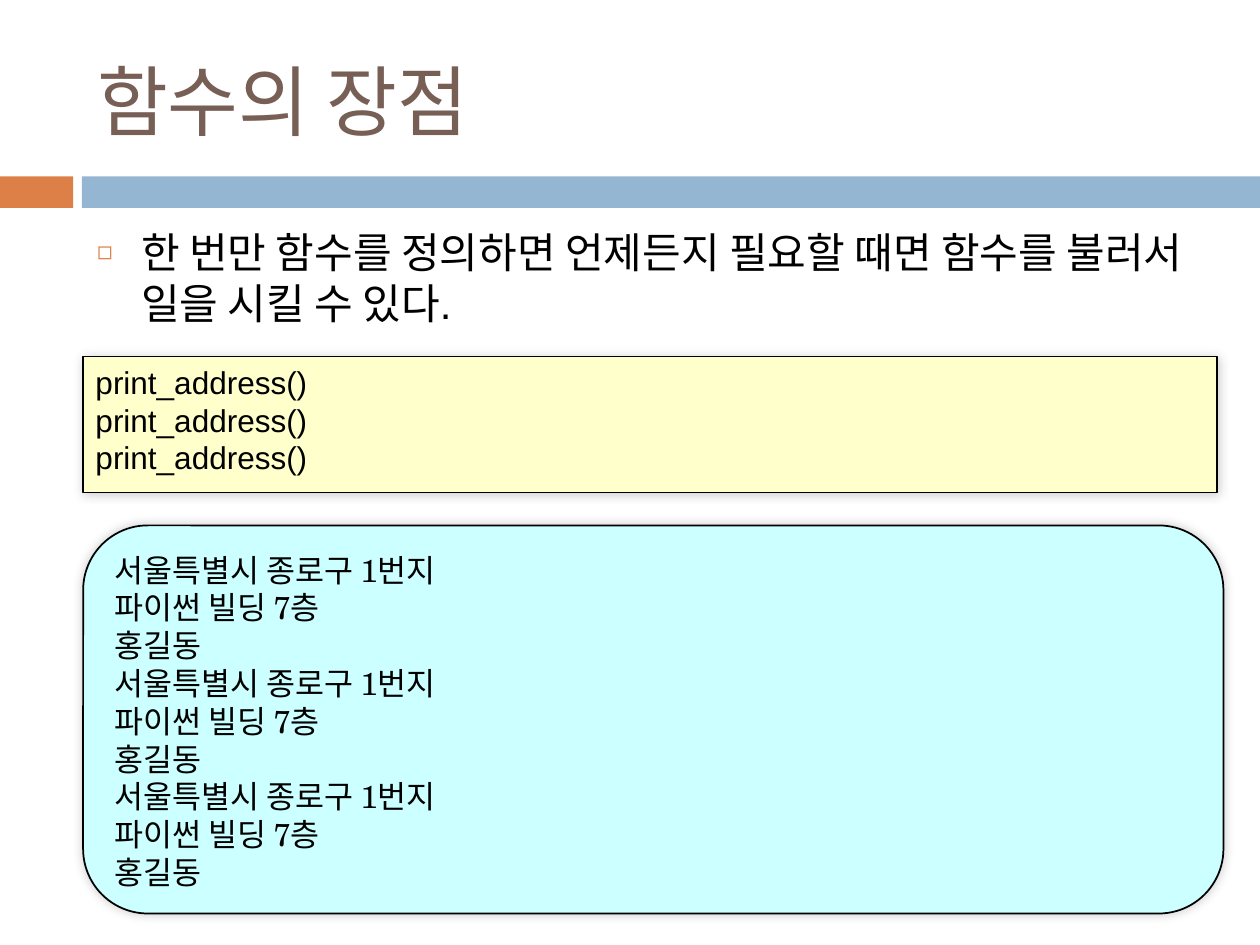
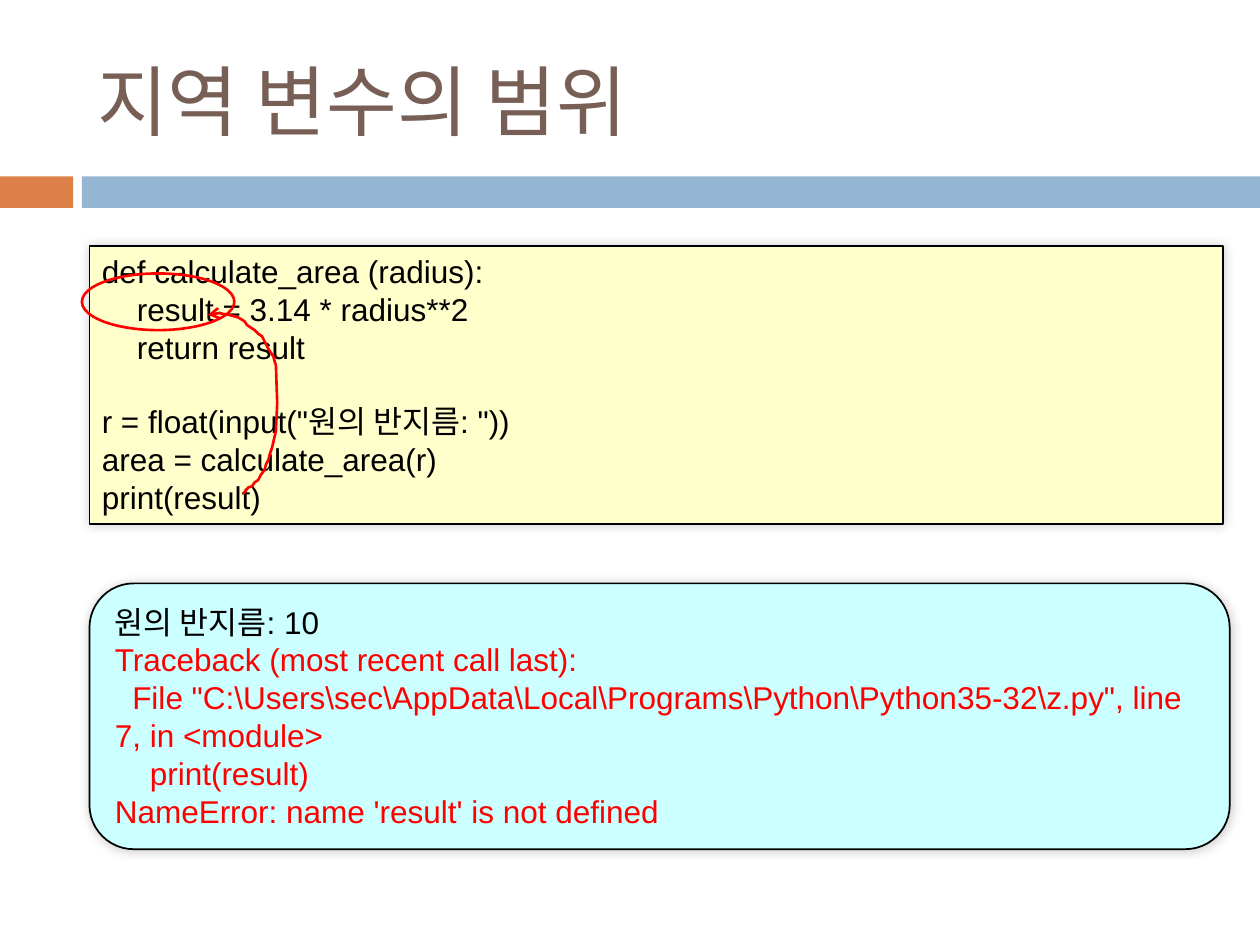
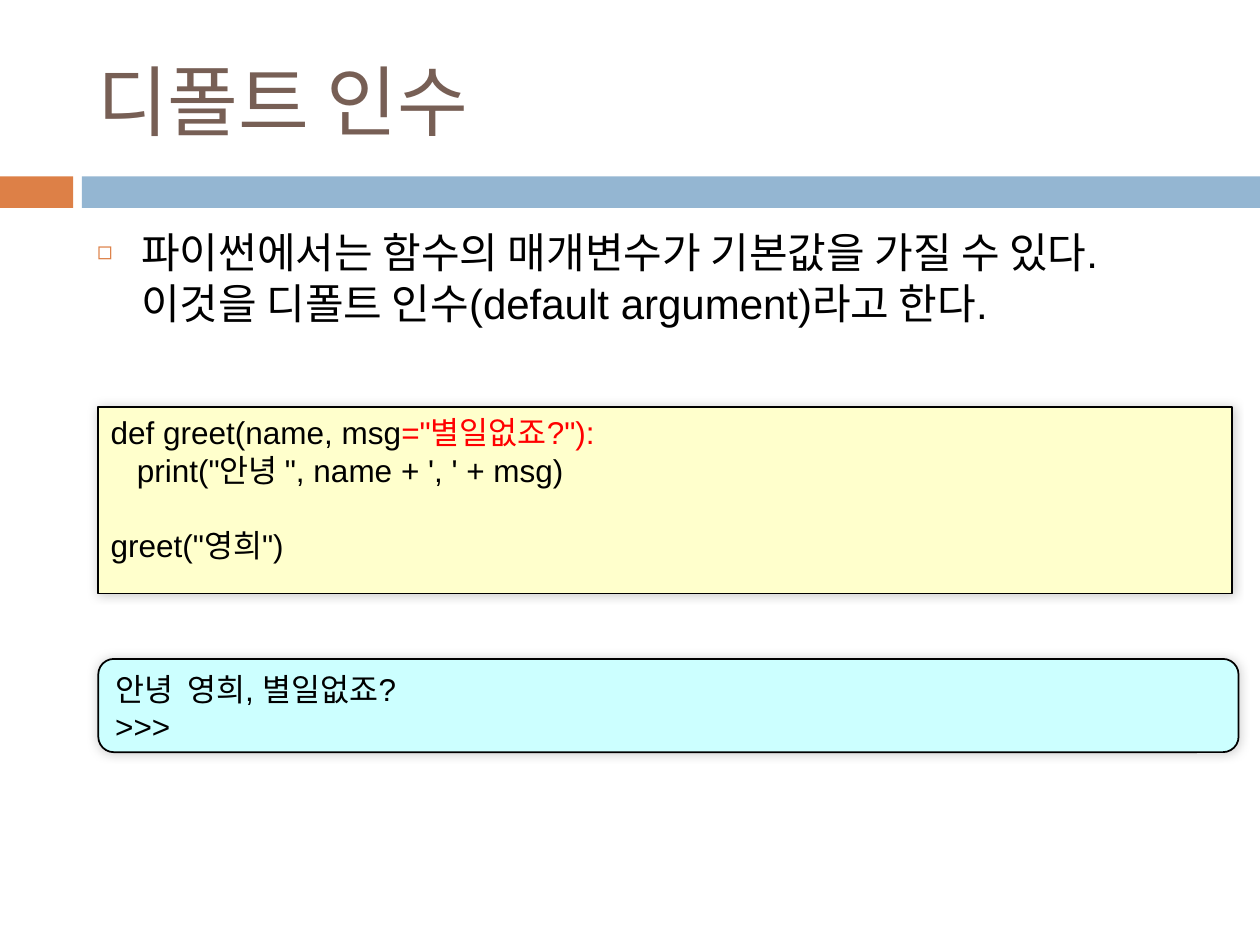
import pptx
import pptx.dml.color
import pptx.enum.dml
import pptx.enum.shapes
import pptx.enum.text
import pptx.oxml
import pptx.oxml.ns
import pptx.util
from lxml import etree

Inches = pptx.util.Inches
Pt = pptx.util.Pt
qn = pptx.oxml.ns.qn
SHAPES = pptx.enum.shapes.MSO_SHAPE

BLACK, RED = "000000", "FF0000"
ORANGE, BLUE, BROWN = "DD8047", "94B6D2", "775F55"
CODE_FILL, OUTPUT_FILL = "FFFFCC", "CCFFFF"

BANDS = [(0, 0.58, ORANGE), (0.65, 9.35, BLUE)]
BAND_TOP, BAND_HEIGHT = 1.4, 0.25
TITLE_BOX = (0.67, 0.25, 8.92, 1.08)
BODY_BOX = (0.67, 1.75, 8.92, 4.92)
CODE_WIDTH, OUTPUT_WIDTH = 9, 9.05
SPACE_WIDTH = Pt(5)
BLANK_LINE = Pt(21)

ADDRESS = ["서울특별시 종로구 1번지", "파이썬 빌딩 7층", "홍길동"]

# A line is a string, or a pair of its black part and its red part.
SLIDES = [
    {
        "title": "함수의 장점",
        "body": "한 번만 함수를 정의하면 언제든지 필요할 때면 함수를 불러서 일을 시킬 수 있다.",
        "left": 0.66,
        "code": (2.83, 1.08, ["print_address()"] * 3),
        "output": (4.17, 3.08, ADDRESS * 3),
        "output_font": "TeX Gyre Schola",
    },
    {
        "title": "지역 변수의 범위",
        "left": 0.71,
        "code": (1.95, 2.21, [
            "def calculate_area (radius):",
            "    result = 3.14 * radius**2",
            "    return result",
            "",
            'r = float(input("원의 반지름: "))',
            "area = calculate_area(r)",
            "print(result)",
        ]),
        "output": (4.63, 2.11, [
            "원의 반지름: 10",
            ("", "Traceback (most recent call last):"),
            ("", '  File "C:\\Users\\sec\\AppData\\Local\\Programs\\Python\\Python35-32\\z.py", '
                 "line 7, in <module>"),
            ("", "    print(result)"),
            ("", "NameError: name 'result' is not defined"),
        ]),
        "circle": (0.65, 2.17, 1.21, 0.45),
        "arrow": [
            (1.93, 3.92), (1.97, 3.87), (2, 3.86), (2.02, 3.83), (2.05, 3.81), (2.07, 3.77),
            (2.1, 3.73), (2.11, 3.69), (2.13, 3.65), (2.14, 3.61), (2.16, 3.55), (2.19, 3.42),
            (2.2, 3.2), (2.19, 2.9), (2.18, 2.87), (2.17, 2.83), (2.13, 2.77), (2.11, 2.73),
            (2.08, 2.67), (2.05, 2.65), (2.02, 2.62), (1.96, 2.58), (1.94, 2.55), (1.89, 2.52),
            (1.82, 2.5), (1.76, 2.49), (1.73, 2.48), (1.65, 2.5),
        ],
    },
    {
        "title": "디폴트 인수",
        "body": "파이썬에서는 함수의 매개변수가 기본값을 가질 수 있다. "
                "이것을 디폴트 인수(default argument)라고 한다.",
        "left": 0.78,
        "code": (3.23, 1.48, [
            ("def greet(name, msg", '="별일없죠?"):'),
            "   print(\"안녕 \", name + ', ' + msg)",
            "",
            'greet("영희")',
        ]),
        "output": (5.23, 0.74, ["안녕  영희, 별일없죠?", ">>>"]),
    },
]


def colour(value):
    return pptx.dml.color.RGBColor.from_string(value)


def set_font(font, name, size, value):
    font.name = name
    font.size = Pt(size)
    font.color.rgb = colour(value)


def place(shape, box):
    shape.left, shape.top, shape.width, shape.height = map(Inches, box)


def add_shape(slide, kind, box, fill):
    shape = slide.shapes.add_shape(kind, *map(Inches, box))
    shape.shadow.inherit = False
    shape.fill.solid()
    shape.fill.fore_color.rgb = colour(fill)
    return shape


def add_soft_shadow(shape):
    effects = shape.element.spPr.find(qn("a:effectLst"))
    shadow = etree.SubElement(effects, qn("a:outerShdw"), blurRad=str(Pt(6)), dist="0",
                              dir="18900000", algn="ctr", rotWithShape="0")
    shade = etree.SubElement(shadow, qn("a:srgbClr"), val=BLACK)
    etree.SubElement(shade, qn("a:alpha"), val="20000")


def write_lines(frame, lines, font_name):
    """Write one paragraph a line: leading spaces become an indent, empty lines a gap."""
    frame.word_wrap = True
    frame.vertical_anchor = pptx.enum.text.MSO_ANCHOR.TOP
    paragraph, gap = None, 0
    for line in lines:
        if not line:
            gap = BLANK_LINE
            continue
        black, red = (line, "") if isinstance(line, str) else line
        paragraph = frame.add_paragraph() if paragraph else frame.paragraphs[0]
        paragraph.alignment = pptx.enum.text.PP_ALIGN.LEFT
        paragraph.space_before, gap = gap, 0
        set_font(paragraph.font, font_name, 18, BLACK)
        whole = black + red
        spaces = len(whole) - len(whole.lstrip())
        paragraph._p.get_or_add_pPr().set("indent", str(spaces * SPACE_WIDTH))
        for text, value in ((black, BLACK), (red, RED)):
            if text:
                run = paragraph.add_run()
                run.text = text.lstrip()
                run.font.color.rgb = colour(value)


def add_panel(slide, kind, fill, left, width, content, font_name="Arial"):
    top, height, lines = content
    panel = add_shape(slide, kind, (left, top, width, height), fill)
    panel.line.color.rgb = colour(BLACK)
    panel.line.width = Pt(1)
    add_soft_shadow(panel)
    write_lines(panel.text_frame, lines, font_name)


def fill_title(title, text):
    place(title, TITLE_BOX)
    frame = title.text_frame
    frame.text = text
    frame.auto_size = pptx.enum.text.MSO_AUTO_SIZE.NONE
    frame.vertical_anchor = pptx.enum.text.MSO_ANCHOR.MIDDLE
    paragraph = frame.paragraphs[0]
    paragraph.alignment = pptx.enum.text.PP_ALIGN.LEFT
    set_font(paragraph.font, "Cabin", 44, BROWN)


def fill_body(body, text):
    place(body, BODY_BOX)
    frame = body.text_frame
    frame.text = text
    frame.auto_size = pptx.enum.text.MSO_AUTO_SIZE.NONE
    paragraph = frame.paragraphs[0]
    paragraph.space_before = Pt(7)
    properties = paragraph._p.get_or_add_pPr()
    properties.set("marL", str(Inches(0.35)))
    properties.set("indent", str(-Inches(0.35)))
    bullet_colour = etree.SubElement(properties, qn("a:buClr"))
    etree.SubElement(bullet_colour, qn("a:srgbClr"), val=ORANGE)
    etree.SubElement(properties, qn("a:buSzPct"), val="60000")
    etree.SubElement(properties, qn("a:buChar"), char="◻")
    set_font(paragraph.font, "Arial", 24, BLACK)


def outline_red(shape):
    shape.shadow.inherit = False
    shape.fill.background()
    shape.line.color.rgb = colour(RED)
    shape.line.width = Pt(1.5)


def add_circle(slide, box):
    outline_red(slide.shapes.add_shape(SHAPES.OVAL, *map(Inches, box)))


def add_curved_arrow(slide, points):
    start, *others = [(Inches(x), Inches(y)) for x, y in points]
    builder = slide.shapes.build_freeform(*start)
    builder.add_line_segments(others, close=False)
    arrow = builder.convert_to_shape()
    outline_red(arrow)
    etree.SubElement(arrow.element.spPr.find(qn("a:ln")), qn("a:tailEnd"), type="arrow")


def move_bands_to_layout(slide, layout):
    """Draw the bands and hand them to the layout, in place of its footers."""
    for placeholder in list(layout.placeholders):
        if placeholder.placeholder_format.idx >= 10:
            layout.shapes.element.remove(placeholder.element)
    for left, width, fill in BANDS:
        band = add_shape(slide, SHAPES.RECTANGLE, (left, BAND_TOP, width, BAND_HEIGHT), fill)
        band.line.fill.background()
        layout.shapes.element.append(band.element)


def build_slide(presentation, layout, content):
    slide = presentation.slides.add_slide(layout)
    fill_title(slide.shapes.title, content["title"])
    body = slide.placeholders[1]
    if "body" in content:
        fill_body(body, content["body"])
    else:
        slide.shapes.element.remove(body.element)
    left = content["left"]
    add_panel(slide, SHAPES.FLOWCHART_ALTERNATE_PROCESS, OUTPUT_FILL, left, OUTPUT_WIDTH,
              content["output"], content.get("output_font", "Arial"))
    add_panel(slide, SHAPES.RECTANGLE, CODE_FILL, left, CODE_WIDTH, content["code"])
    if "circle" in content:
        add_circle(slide, content["circle"])
    if "arrow" in content:
        add_curved_arrow(slide, content["arrow"])


def main():
    presentation = pptx.Presentation()
    presentation.slide_width = Inches(10)
    presentation.slide_height = Inches(7.5)
    layout = presentation.slide_layouts[1]
    for content in SLIDES:
        build_slide(presentation, layout, content)
    move_bands_to_layout(presentation.slides[0], layout)
    presentation.save("out.pptx")


if __name__ == "__main__":
    main()
